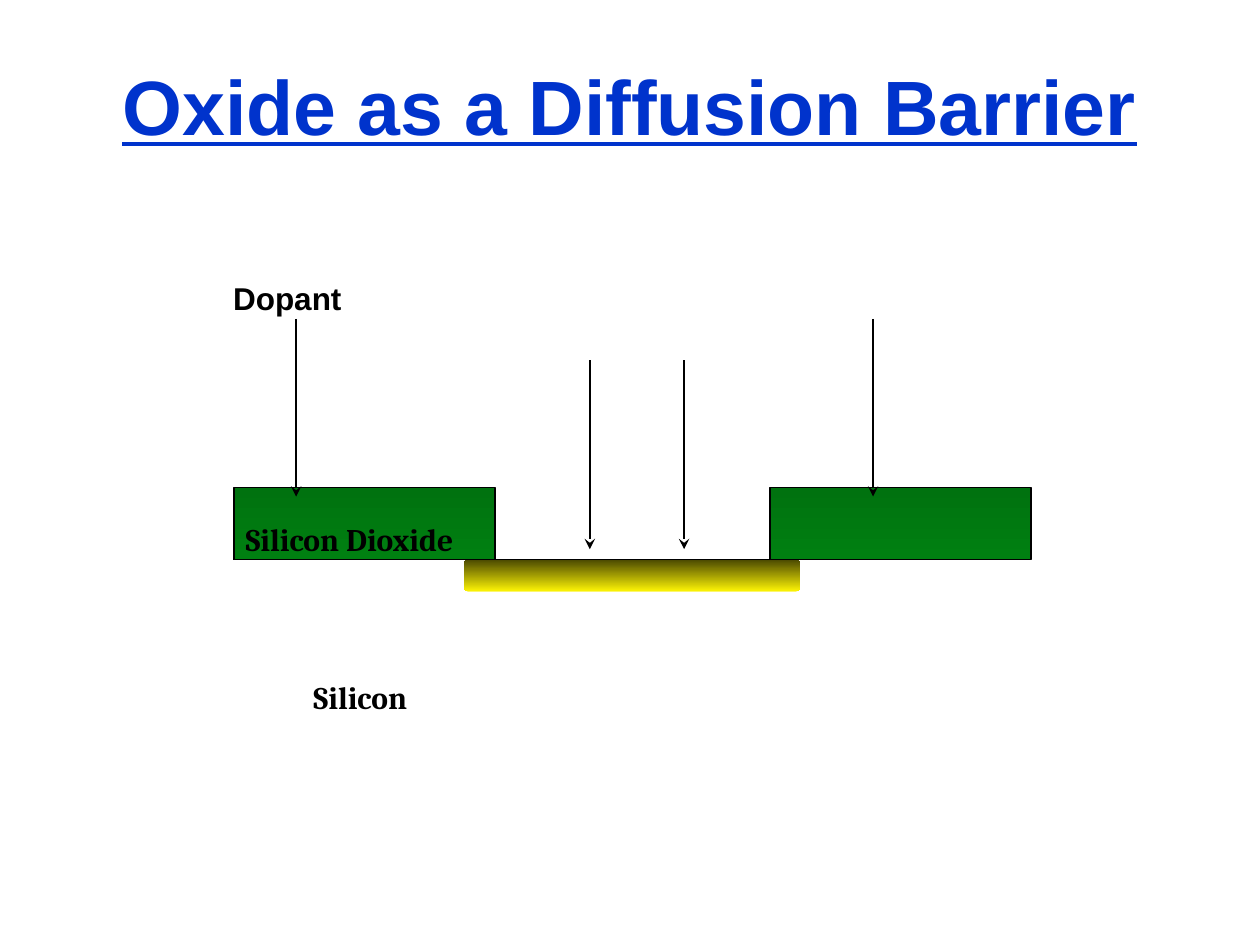
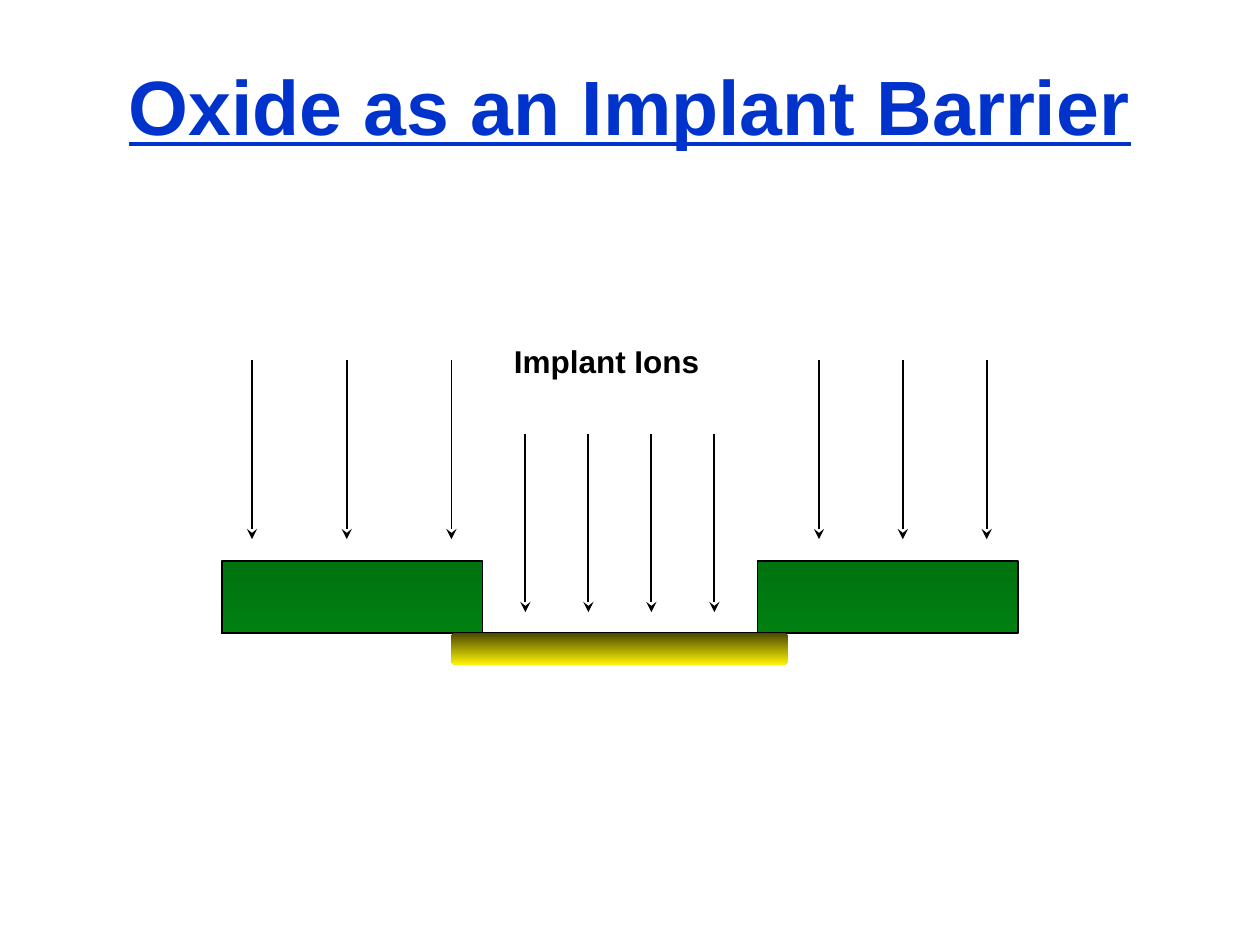
from lxml.etree import SubElement
from pptx import Presentation
from pptx.dml.color import RGBColor
from pptx.enum.shapes import MSO_CONNECTOR as Connector, MSO_SHAPE as Shape
from pptx.enum.text import MSO_ANCHOR as Anchor, MSO_AUTO_SIZE as AutoSize, PP_ALIGN as Align
from pptx.oxml.ns import qn
from pptx.util import Cm, Pt

TITLE_BLUE = RGBColor(0x00, 0x33, 0xCC)
BLACK = RGBColor(0x00, 0x00, 0x00)
OXIDE_TOP = RGBColor(0x00, 0x72, 0x0F)
OXIDE_BOTTOM = RGBColor(0x00, 0x80, 0x11)
DOPED_TOP = RGBColor(0x4A, 0x48, 0x01)
DOPED_BOTTOM = RGBColor(0xFC, 0xF3, 0x05)

SANS = "Arial"
SERIF = "Cambria"
TITLE_ONLY = 5
OXIDE_HEIGHT = 1.45


class BarrierDeck:
    def __init__(self):
        self.deck = Presentation()
        self.deck.slide_width = Cm(25.4)
        self.deck.slide_height = Cm(19.05)
        self.page = None

    def add_page(self, title):
        self.page = self.deck.slides.add_slide(self.deck.slide_layouts[TITLE_ONLY])
        box = self.page.shapes.title
        box.left, box.top, box.width, box.height = Cm(1.06), Cm(0.64), Cm(23.28), Cm(3.18)
        frame = box.text_frame
        frame.text = title
        frame.auto_size = AutoSize.NONE
        frame.vertical_anchor = Anchor.MIDDLE
        para = frame.paragraphs[0]
        para.alignment = Align.CENTER
        para.line_spacing = 0.9
        self.style_span(para.runs[0], SANS, 44, TITLE_BLUE)
        para.runs[0].font.underline = True

    def style_span(self, span, font, size, color):
        span.font.name = font
        span.font.size = Pt(size)
        span.font.bold = True
        span.font.color.rgb = color

    def label(self, text, left, top, width, font):
        box = self.page.shapes.add_textbox(Cm(left), Cm(top), Cm(width), Cm(1.02))
        frame = box.text_frame
        frame.text = text
        frame.word_wrap = False
        frame.auto_size = AutoSize.SHAPE_TO_FIT_TEXT
        self.style_span(frame.paragraphs[0].runs[0], font, 18, BLACK)

    def block(self, kind, left, top, width, height, top_color, bottom_color):
        block = self.page.shapes.add_shape(kind, Cm(left), Cm(top), Cm(width), Cm(height))
        block.shadow.inherit = False
        block.fill.gradient()
        block.fill.gradient_angle = 270
        for stop, color in zip(block.fill.gradient_stops, (top_color, bottom_color)):
            stop.color.rgb = color
        return block

    def line(self, x1, y1, x2, y2):
        line = self.page.shapes.add_connector(Connector.STRAIGHT, Cm(x1), Cm(y1), Cm(x2), Cm(y2))
        line.line.color.rgb = BLACK
        line.line.width = Pt(1)
        SubElement(line._element.spPr, qn("a:effectLst"))
        return line

    def arrows(self, positions, top, bottom):
        for x in positions:
            arrow = self.line(x, top, x, bottom)
            SubElement(arrow.line._get_or_add_ln(), qn("a:tailEnd"), type="stealth")

    def wafer(self, left, surface):
        for offset in (0.02, 10.82):
            oxide = self.block(Shape.RECTANGLE, left + offset, surface - OXIDE_HEIGHT,
                               5.26, OXIDE_HEIGHT, OXIDE_TOP, OXIDE_BOTTOM)
            oxide.line.color.rgb = BLACK
            oxide.line.width = Pt(1)
        self.line(left, surface, left + 16.08, surface)
        doped = self.block(Shape.ROUNDED_RECTANGLE, left + 4.65, surface, 6.78, 0.64,
                           DOPED_TOP, DOPED_BOTTOM)
        doped.adjustments[0] = 0.125
        doped.line.fill.background()

    def save(self):
        self.deck.save("out.pptx")


def main():
    barrier = BarrierDeck()

    barrier.add_page("Oxide as a Diffusion Barrier")
    barrier.wafer(4.7, 11.28)
    barrier.arrows((11.89, 13.79), 7.26, 11.07)
    barrier.arrows((5.97, 17.6), 6.43, 10.01)
    barrier.label("Dopant", 4.45, 5.51, 2.69, SANS)
    barrier.label("Silicon", 6.07, 13.54, 2.69, SERIF)
    barrier.label("Silicon Dioxide", 4.7, 10.36, 5.38, SERIF)

    barrier.add_page("Oxide as an Implant Barrier")
    barrier.wafer(4.45, 12.76)
    barrier.arrows((5.08, 6.99, 9.1), 7.26, 10.87)
    barrier.arrows([16.51 + 1.69 * step for step in range(3)], 7.26, 10.87)
    barrier.arrows([10.59 + 1.27 * step for step in range(4)], 8.74, 12.34)
    barrier.label("Implant Ions", 10.11, 6.78, 4.24, SANS)

    barrier.save()


if __name__ == "__main__":
    main()
